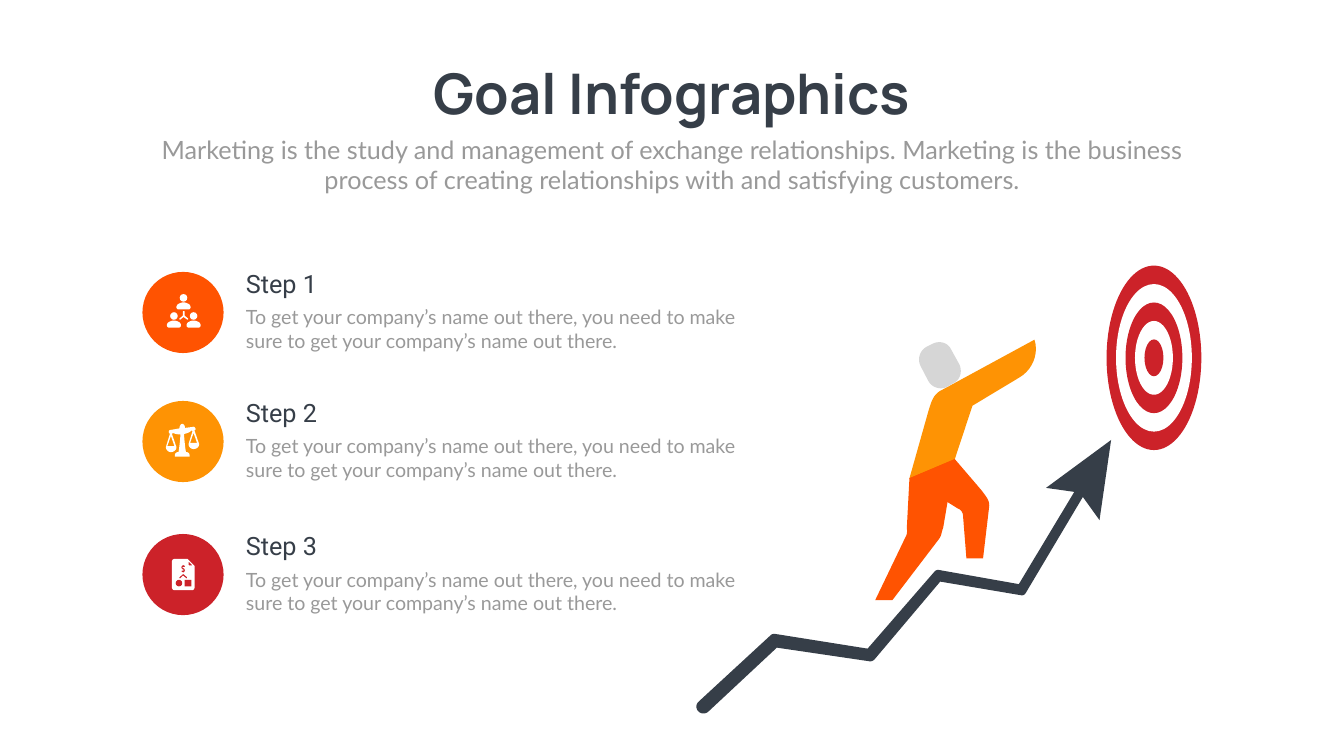
import pptx
import pptx.util
import pptx.dml.color
import pptx.enum.shapes
import pptx.enum.text

ROWS = 15
CELL = pptx.util.Inches(15) // ROWS
COLUMNS = 26.66
ORANGE, AMBER, RED = "FF5301", "FE9304", "CC2229"
DARK, GREY, SKIN, WHITE = "363E48", "999999", "D6D6D6", "FFFFFF"
CENTER = pptx.enum.text.PP_ALIGN.CENTER
LEFT = pptx.enum.text.PP_ALIGN.LEFT
OVAL = pptx.enum.shapes.MSO_SHAPE.OVAL
RECTANGLE = pptx.enum.shapes.MSO_SHAPE.RECTANGLE

ARROW = [
    (22.04, 8.73), (20.75, 9.68), (21.31, 9.76), (20.21, 11.59), (18.63, 11.31),
    (18.59, 11.3, 18.55, 11.32, 18.53, 11.35), (17.21, 12.87), (15.39, 12.58),
    (15.35, 12.57, 15.31, 12.58, 15.28, 12.61), (13.86, 13.92),
    (13.8, 13.97, 13.8, 14.06, 13.85, 14.11), (13.9, 14.17, 13.99, 14.17, 14.05, 14.12),
    (15.41, 12.85), (17.24, 13.12), (17.28, 13.13, 17.32, 13.11, 17.35, 13.08),
    (18.65, 11.54), (20.25, 11.81), (20.29, 11.82, 20.33, 11.8, 20.35, 11.76),
    (21.48, 9.86), (21.81, 10.32),
]
TORSO = [
    (20.52, 6.74), (18.68, 7.74), (18.51, 7.82, 18.47, 7.98, 18.41, 8.18),
    (18.04, 9.49), (18.54, 9.64), (18.94, 9.11), (19.29, 8.05), (20.22, 7.49),
    (20.48, 7.34, 20.61, 7.02, 20.52, 6.74),
]
FRONT_LEG = [
    (18.94, 9.11), (19.47, 9.73), (19.56, 9.85, 19.64, 9.94, 19.62, 10.06),
    (19.5, 11.08), (19.17, 11.08), (19.1, 10.2), (19.08, 10.15, 19.06, 10.11, 19, 10.09),
    (18.04, 9.49),
]
BACK_LEG = [
    (18.04, 9.49), (17.99, 10.44), (17.99, 10.52, 18, 10.57, 17.98, 10.62),
    (17.36, 11.91), (17.7, 11.91), (18.63, 10.69),
    (18.68, 10.62, 18.68, 10.54, 18.71, 10.47), (18.94, 9.11),
]
HEAD = [
    (18.87, 6.94), (19.03, 7.23), (19.1, 7.38, 19.04, 7.55, 18.9, 7.61),
    (18.78, 7.68), (18.65, 7.74, 18.48, 7.69, 18.41, 7.55), (18.26, 7.26),
    (18.19, 7.12, 18.25, 6.95, 18.38, 6.88), (18.5, 6.82),
    (18.64, 6.75, 18.81, 6.8, 18.87, 6.94),
]
SHOULDERS = [
    (-0.1, 0.23), (0.1, 0.23), (0.12, 0.23, 0.14, 0.21, 0.14, 0.19), (0.14, 0.18),
    (0.14, 0.16, 0.12, 0.13, 0.1, 0.12), (0.08, 0.11, 0.04, 0.09, 0, 0.09),
    (-0.04, 0.09, -0.08, 0.11, -0.1, 0.12), (-0.12, 0.13, -0.14, 0.16, -0.14, 0.18),
    (-0.14, 0.19), (-0.14, 0.21, -0.12, 0.23, -0.1, 0.23),
]
LINKS = [
    (3.63, 6.18), (3.63, 6.17, 3.66, 6.17, 3.66, 6.18), (3.66, 6.26), (3.73, 6.32),
    (3.74, 6.33, 3.73, 6.35, 3.71, 6.34), (3.64, 6.29), (3.58, 6.34),
    (3.56, 6.35, 3.55, 6.33, 3.56, 6.32), (3.63, 6.26),
]
STAND = [
    (3.67, 8.49), (3.67, 8.46, 3.65, 8.41, 3.62, 8.41), (3.58, 8.41, 3.56, 8.46, 3.56, 8.5),
    (3.39, 8.53), (3.36, 8.53, 3.34, 8.55, 3.35, 8.58), (3.36, 8.62, 3.41, 8.62, 3.43, 8.59),
    (3.47, 8.61, 3.52, 8.62, 3.58, 8.62), (3.57, 8.78, 3.55, 8.93, 3.54, 8.97),
    (3.49, 8.97, 3.47, 9, 3.47, 9.03), (3.47, 9.06), (3.76, 9.06), (3.76, 9.03),
    (3.76, 9, 3.74, 8.97, 3.69, 8.97), (3.68, 8.93, 3.66, 8.78, 3.65, 8.61),
    (3.71, 8.6, 3.76, 8.58, 3.8, 8.54), (3.83, 8.57, 3.88, 8.54, 3.88, 8.51),
    (3.87, 8.48, 3.85, 8.46, 3.83, 8.47),
]
PAN = [
    (3.29, 8.87), (3.37, 8.61), (3.41, 8.61), (3.5, 8.87),
    (3.5, 8.93, 3.45, 8.97, 3.39, 8.97), (3.34, 8.97, 3.29, 8.93, 3.29, 8.87),
]
PAN_GAP = [(3.46, 8.85), (3.32, 8.85), (3.39, 8.65)]
SHEET = [
    (3.86, 11.23), (3.72, 11.09), (3.46, 11.09), (3.43, 11.09, 3.41, 11.12, 3.41, 11.14),
    (3.41, 11.65), (3.41, 11.68, 3.43, 11.71, 3.46, 11.71), (3.81, 11.71),
    (3.84, 11.71, 3.86, 11.68, 3.86, 11.65),
]
FOLD = [(3.74, 11.14), (3.82, 11.22), (3.76, 11.22), (3.75, 11.22, 3.74, 11.21, 3.74, 11.2)]
DOLLAR = [
    (3.63, 11.3), (3.59, 11.29, 3.59, 11.23, 3.62, 11.22), (3.62, 11.21, 3.65, 11.21, 3.65, 11.22),
    (3.68, 11.22, 3.67, 11.25, 3.66, 11.25), (3.63, 11.25), (3.62, 11.25, 3.62, 11.27, 3.63, 11.27),
    (3.67, 11.27, 3.68, 11.34, 3.65, 11.35), (3.65, 11.36, 3.62, 11.36, 3.62, 11.35),
    (3.6, 11.35, 3.59, 11.32, 3.61, 11.32), (3.63, 11.32), (3.65, 11.32, 3.65, 11.3, 3.63, 11.3),
]
ROOF = [
    (3.58, 11.47), (3.57, 11.49, 3.55, 11.47, 3.56, 11.45), (3.63, 11.39), (3.64, 11.39),
    (3.71, 11.45), (3.72, 11.47, 3.7, 11.49, 3.69, 11.47), (3.63, 11.42),
]


def cells(*numbers):
    return [round(number * CELL) for number in numbers]


def color(value):
    return pptx.dml.color.RGBColor.from_string(value)


def paint(shape, fill):
    shape.shadow.inherit = False
    shape.fill.solid()
    shape.fill.fore_color.rgb = color(fill)
    shape.line.fill.background()


def add_preset(page, kind, middle, size, fill):
    corner = [center - length / 2 for center, length in zip(middle, size)]
    paint(page.shapes.add_shape(kind, *cells(*corner, *size)), fill)


def flatten(contour, steps=10):
    points = [contour[0]]
    for segment in contour[1:]:
        if len(segment) == 2:
            points.append(segment)
            continue
        nodes = [points[-1], segment[:2], segment[2:4], segment[4:]]
        for step in range(1, steps + 1):
            t = step / steps
            weights = [(1 - t) ** 3, 3 * t * (1 - t) ** 2, 3 * t * t * (1 - t), t ** 3]
            points.append(tuple(sum(w * node[axis] for w, node in zip(weights, nodes))
                                for axis in (0, 1)))
    return points


def add_outline(page, contours, fill, shift=(0, 0)):
    builder = None
    for contour in contours:
        points = [cells(x + shift[0], y + shift[1]) for x, y in flatten(contour)]
        if builder is None:
            builder = page.shapes.build_freeform(*points[0])
        else:
            builder.move_to(*points[0])
        builder.add_line_segments(points[1:], close=True)
    paint(builder.convert_to_shape(), fill)


def add_text(page, words, place, font, size, fill, align=LEFT, bold=False, wrap=True):
    box = page.shapes.add_textbox(*cells(*place))
    box.text_frame.word_wrap = wrap
    box.text_frame.auto_size = pptx.enum.text.MSO_AUTO_SIZE.SHAPE_TO_FIT_TEXT
    para = box.text_frame.paragraphs[0]
    para.text = words
    para.alignment = align
    para.font.name = font
    para.font.size = pptx.util.Pt(size)
    para.font.bold = bold
    para.font.color.rgb = color(fill)


def add_step(page, number, middle, fill):
    add_preset(page, OVAL, (3.63, middle), (1.61, 1.61), fill)
    add_text(page, f"Step {number}", (4.78, middle - 0.93, 3.26, 0.71), "Roboto", 36, DARK)
    add_text(page, "To get your company’s name out there, you need to make sure "
             "to get your company’s name out there.",
             (4.78, middle - 0.19, 10.41, 1.04), "Lato", 28, GREY)


def add_team_icon(page):
    for middle in [(3.64, 5.91), (3.45, 6.27), (3.84, 6.27)]:
        add_preset(page, OVAL, middle, (0.15, 0.15), WHITE)
        add_outline(page, [SHOULDERS], WHITE, middle)
    add_outline(page, [LINKS], WHITE)


def add_scales_icon(page):
    add_outline(page, [STAND], WHITE)
    for shift in [(0, 0), (0.45, -0.06)]:
        add_outline(page, [PAN, PAN_GAP], WHITE, shift)


def add_report_icon(page):
    add_outline(page, [SHEET, FOLD, DOLLAR, ROOF], WHITE)
    add_preset(page, OVAL, (3.55, 11.57), (0.13, 0.13), RED)
    add_preset(page, RECTANGLE, (3.73, 11.57), (0.13, 0.13), RED)


def add_target(page):
    for ring in range(5, 0, -1):
        add_preset(page, OVAL, (22.89, 7.1), (1.88 * ring / 5, 3.66 * ring / 5),
                   RED if ring % 2 else WHITE)


def add_climber(page):
    for part, fill in [(ARROW, DARK), (TORSO, AMBER), (FRONT_LEG, ORANGE),
                       (BACK_LEG, ORANGE), (HEAD, SKIN)]:
        add_outline(page, [part], fill)


def main():
    deck = pptx.Presentation()
    deck.slide_width, deck.slide_height = cells(COLUMNS, ROWS)
    page = deck.slides.add_slide(deck.slide_layouts[6])
    add_text(page, "Goal Infographics", (8.1, 1.12, 10.47, 1.45), "Manrope", 80, DARK,
             CENTER, bold=True, wrap=False)
    add_text(page, "Marketing is the study and management of exchange relationships. "
             "Marketing is the business process of creating relationships with and "
             "satisfying customers.", (2.92, 2.61, 20.82, 1.31), "Lato", 36, GREY, CENTER)
    add_target(page)
    add_climber(page)
    steps = [(6.2, ORANGE, add_team_icon), (8.76, AMBER, add_scales_icon),
             (11.4, RED, add_report_icon)]
    for number, (middle, fill, add_icon) in enumerate(steps, 1):
        add_step(page, number, middle, fill)
        add_icon(page)
    deck.save("out.pptx")


if __name__ == "__main__":
    main()
